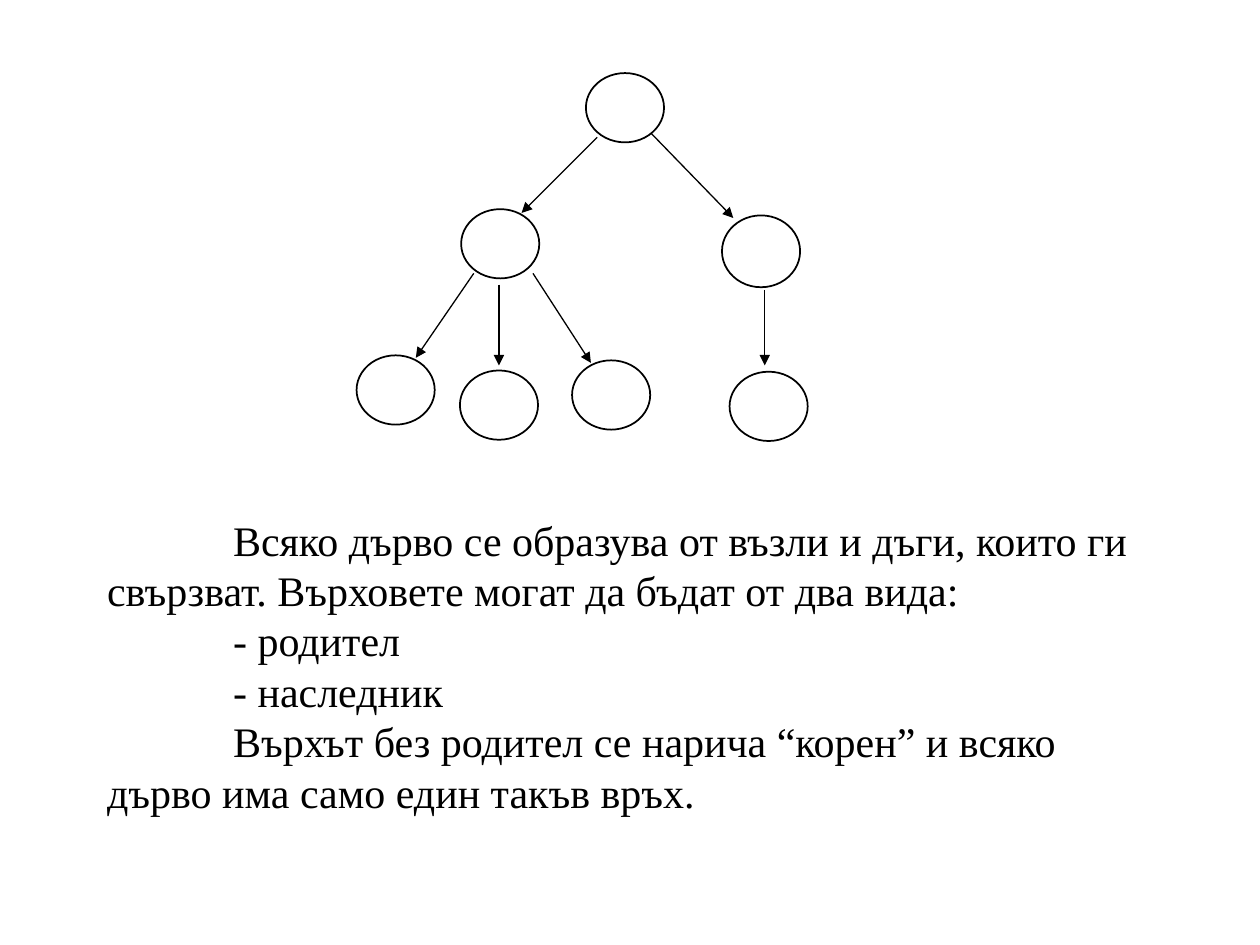
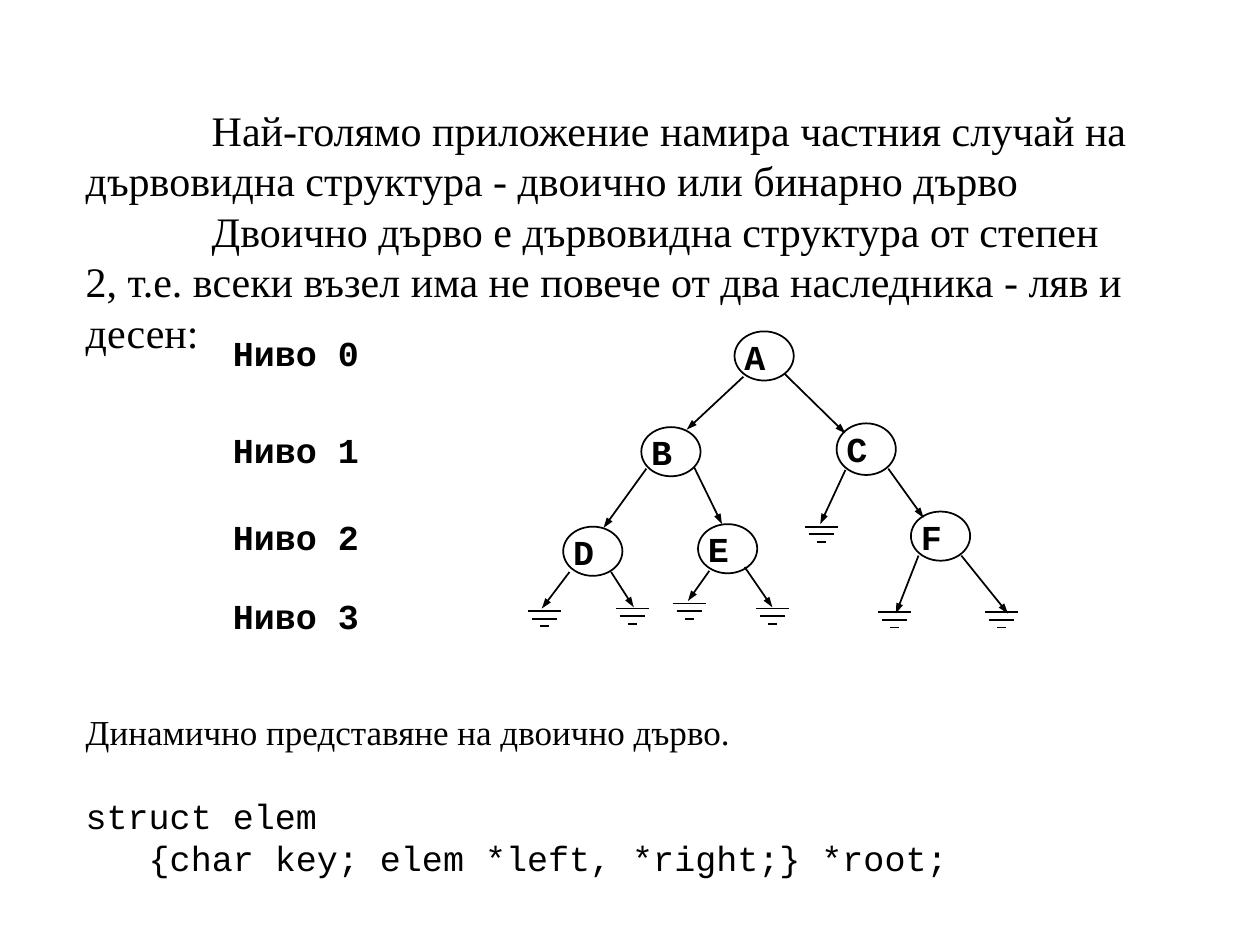
"""Build two slides on trees: the general tree and the binary tree."""
from dataclasses import dataclass

from lxml.etree import SubElement
from pptx import Presentation
from pptx.dml.color import RGBColor
from pptx.enum.shapes import MSO_CONNECTOR, MSO_SHAPE
from pptx.enum.text import MSO_ANCHOR, MSO_AUTO_SIZE, PP_ALIGN
from pptx.oxml.ns import qn
from pptx.util import Inches, Pt


@dataclass(frozen=True)
class Theme:
    """Hold the shared colours, fonts and sizes."""
    ink: RGBColor = RGBColor(0, 0, 0)
    paper: RGBColor = RGBColor(255, 255, 255)
    serif: str = "Times New Roman"
    mono: str = "Courier New"
    large: int = 24
    small: int = 20
    lead: float = 1.2
    thin: float = 0.75
    line: float = 1


THEME = Theme()
BODY = dict(font=THEME.serif, size=THEME.large, indent=1)
ITEM = dict(font=THEME.serif, size=THEME.small)
CODE = dict(font=THEME.mono, size=THEME.small)
LABEL = dict(CODE, bold=True)

TREE_TEXT = [
    ("Всяко дърво се образува от възли и дъги, които ги свързват. "
     "Върховете могат да бъдат от два вида:", BODY),
    ("- родител", BODY),
    ("- наследник", BODY),
    ("Върхът без родител се нарича “корен” и всяко дърво има само "
     "един такъв връх.", BODY),
]
TREE_NODES = [
    (4.65, 0.58, 0.55), (3.66, 1.66, 0.55), (5.73, 1.71, 0.57), (2.83, 2.82, 0.55),
    (3.65, 2.94, 0.55), (4.54, 2.86, 0.55), (5.79, 2.95, 0.55),
]
TREE_ARCS = [
    (4.74, 1.09, 4.14, 1.69), (5.17, 1.06, 5.82, 1.73), (3.96, 2.26, 3.96, 2.9),
    (3.76, 2.17, 3.3, 2.84), (4.23, 2.17, 4.69, 2.88), (6.07, 2.3, 6.07, 2.9),
]

PAIR_TEXT = [
    ("Най-голямо приложение намира частния случай на дървовидна структура - "
     "двоично или бинарно дърво", BODY),
    ("Двоично дърво е дървовидна структура от степен 2, т.е. всеки възел има "
     "не повече от два наследника - ляв и десен:", BODY),
    ("Динамично представяне на двоично дърво.", dict(ITEM, before=202)),
    ("struct elem", dict(CODE, before=24)),
    ("   {char key; elem *left, *right;} *root;", CODE),
]
PAIR_NODES = {
    "A": (5.83, 2.63, 0.39), "B": (5.09, 3.39, 0.39), "C": (6.64, 3.36, 0.41),
    "D": (4.47, 4.18, 0.39), "E": (5.54, 4.16, 0.39), "F": (7.23, 4.06, 0.39),
}
PAIR_ARCS = [
    (5.9, 2.99, 5.45, 3.41), (6.23, 2.97, 6.71, 3.44), (5.13, 3.72, 4.79, 4.19),
    (5.51, 3.71, 5.73, 4.16), (7.05, 3.72, 7.33, 4.11), (4.52, 4.54, 4.3, 4.83),
    (4.85, 4.54, 5.03, 4.82), (5.63, 4.53, 5.46, 4.77), (5.91, 4.5, 6.13, 4.82),
    (6.71, 3.73, 6.51, 4.16), (7.29, 4.41, 7.11, 4.87), (7.63, 4.41, 8, 4.87),
]
ENDS = [(4.32, 4.85), (5.02, 4.83), (5.47, 4.79), (6.13, 4.83),
        (6.52, 4.18), (7.1, 4.86), (7.95, 4.86)]
BARS = [(0, 0.26), (0.06, 0.2), (0.12, 0.07)]
LEVELS = [("Ниво 0", 2.58), ("Ниво 1", 3.35), ("Ниво 2", 4.04), ("Ниво 3", 4.67)]


def write(par, text, font, size, bold=False, indent=0, before=0):
    """Fill one paragraph with a styled run."""
    par.alignment = PP_ALIGN.LEFT
    par.line_spacing = Pt(size * THEME.lead)
    par.space_before = Pt(before)
    props = par._p.get_or_add_pPr()
    props.set("marL", "0")
    props.set("indent", str(Inches(indent)))
    run = par.add_run()
    run.text = text
    run.font.name = font
    run.font.size = Pt(size)
    run.font.bold = bold
    run.font.color.rgb = THEME.ink


def start(deck, text, box, inset):
    """Add a slide whose title holds the text, set down from the box top."""
    slide = deck.slides.add_slide(deck.slide_layouts[5])
    slide.background.fill.solid()
    slide.background.fill.fore_color.rgb = THEME.paper
    title = slide.shapes.title
    title.left, title.top, title.width, title.height = map(Inches, box)
    frame = title.text_frame
    frame.word_wrap = True
    frame.auto_size = MSO_AUTO_SIZE.NONE
    frame.vertical_anchor = MSO_ANCHOR.TOP
    frame.margin_top = Inches(inset)
    frame.margin_bottom = 0
    for rank, (words, style) in enumerate(text):
        par = frame.add_paragraph() if rank else frame.paragraphs[0]
        write(par, words, **style)
    return slide


def node(slide, left, top, width, height):
    """Draw one hollow tree node."""
    oval = slide.shapes.add_shape(
        MSO_SHAPE.OVAL, *map(Inches, (left, top, width, height)))
    oval.shadow.inherit = False
    oval.fill.background()
    oval.line.color.rgb = THEME.ink
    oval.line.width = Pt(THEME.line)


def stroke(slide, ends, width, head=None):
    """Draw a straight line, with an arrowhead of the given width if any."""
    line = slide.shapes.add_connector(MSO_CONNECTOR.STRAIGHT, *map(Inches, ends))
    line.line.color.rgb = THEME.ink
    line.line.width = Pt(width)
    if head:
        SubElement(line.line._get_or_add_ln(), qn("a:tailEnd"),
                   type="triangle", w=head, len="med")
    SubElement(line._element.spPr, qn("a:effectLst"))


def label(slide, text, left, top, width):
    """Place one bold label."""
    box = slide.shapes.add_textbox(*map(Inches, (left, top, width, 0.42)))
    box.text_frame.word_wrap = True
    write(box.text_frame.paragraphs[0], text, **LABEL)


def draw_tree(deck):
    """Build the slide on the general tree."""
    slide = start(deck, TREE_TEXT, (0.75, 0.67, 8.5, 6.42), 3.41)
    for left, top, height in TREE_NODES:
        node(slide, left, top, 0.62, height)
    for arc in TREE_ARCS:
        stroke(slide, arc, THEME.thin, "med")


def draw_pair(deck):
    """Build the slide on the binary tree."""
    slide = start(deck, PAIR_TEXT, (0.58, 0.42, 8.5, 6.6), 0.41)
    for left, top, height in PAIR_NODES.values():
        node(slide, left, top, 0.47, height)
    for arc in PAIR_ARCS:
        stroke(slide, arc, THEME.line, "sm")
    for mid, top in ENDS:
        for drop, width in BARS:
            y = top + drop
            stroke(slide, (mid - width / 2, y, mid + width / 2, y), THEME.line)
    for text, top in LEVELS:
        label(slide, text, 1.75, top, 1.33)
    for key, (left, top, _) in PAIR_NODES.items():
        label(slide, key, left - 0.02, top - 0.02, 0.67)


def main():
    """Build and save the deck."""
    deck = Presentation()
    deck.slide_width, deck.slide_height = Inches(10), Inches(7.5)
    draw_tree(deck)
    draw_pair(deck)
    deck.save("out.pptx")


if __name__ == "__main__":
    main()
